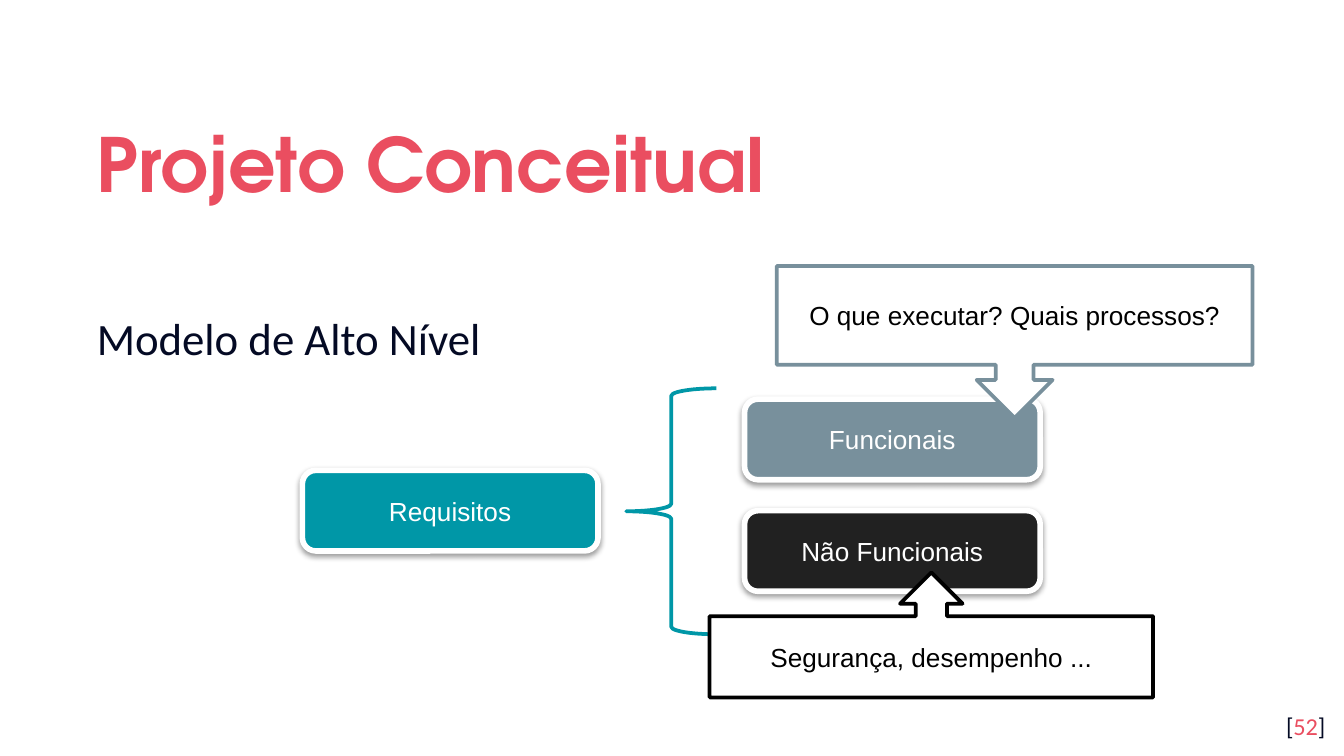
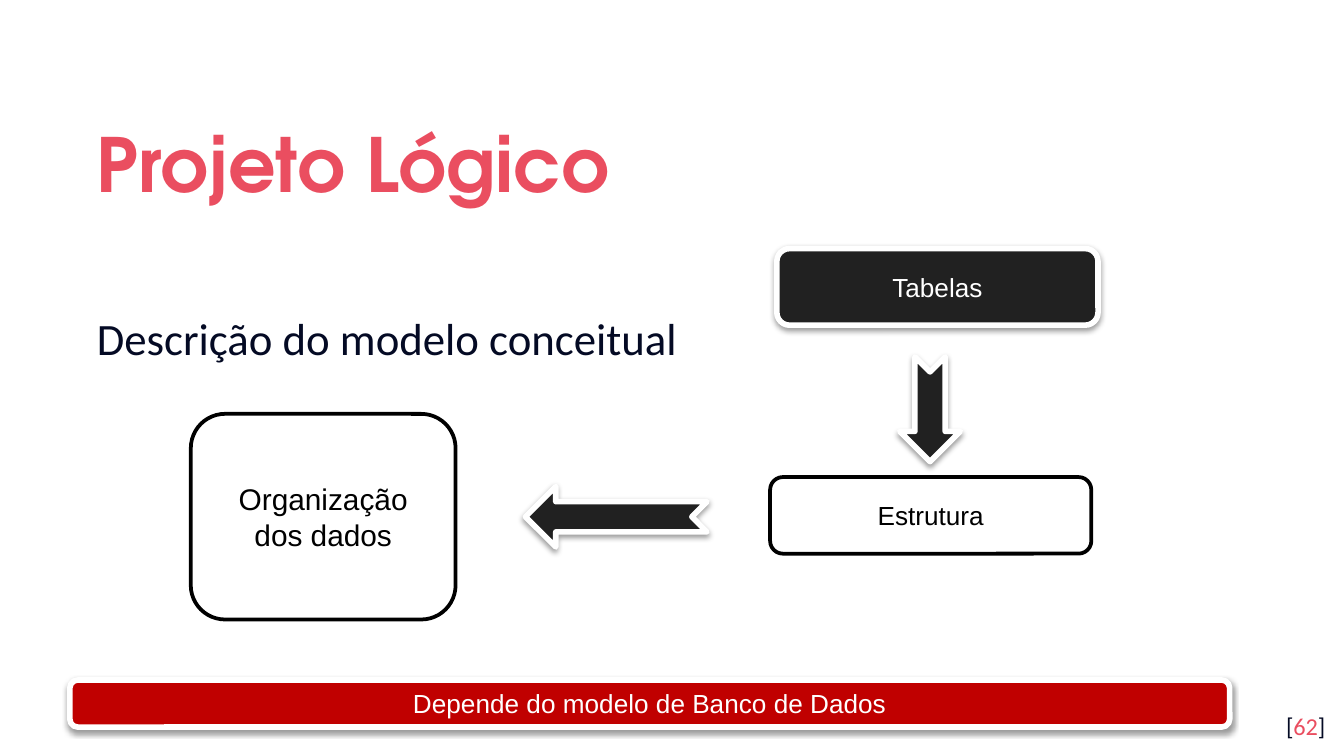
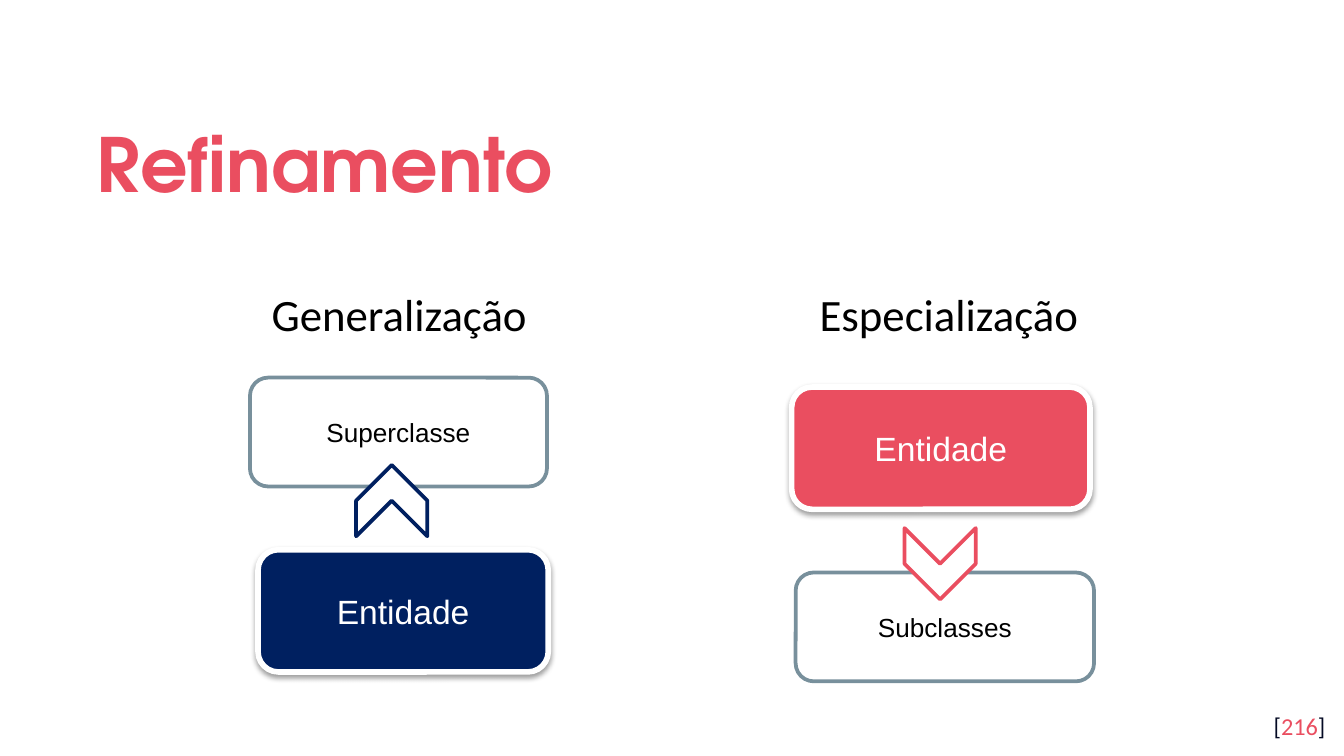
import lxml.etree
import pptx
import pptx.dml.color
import pptx.enum.shapes
import pptx.enum.text
import pptx.oxml.ns
import pptx.util

Inches = pptx.util.Inches
Pt = pptx.util.Pt
SHAPE = pptx.enum.shapes.MSO_SHAPE
ALIGN = pptx.enum.text.PP_ALIGN
ANCHOR = pptx.enum.text.MSO_ANCHOR
qn = pptx.oxml.ns.qn

COLORS = {
    "white": "FFFFFF",
    "black": "000000",
    "ink": "040A24",
    "coral": "EA4E60",
    "teal": "0097A7",
    "slate": "78909C",
    "charcoal": "212121",
    "red": "C00000",
    "navy": "002060",
}
ROUND, CHEVRON, NOTCHED = SHAPE.ROUNDED_RECTANGLE, SHAPE.CHEVRON, SHAPE.NOTCHED_RIGHT_ARROW
LAYOUT_ONE_BODY, LAYOUT_TWO_BODIES = 1, 3

# Body: text, left, width, top inset, alignment, line spacing, color
LEAD = (0.62, 8.77, 0.63, ALIGN.JUSTIFY, 1.15, "ink")
COLUMN_LEFT = (0.97, 4, 0.51, ALIGN.CENTER, 1, "black")
COLUMN_RIGHT = (5.06, 4, 0.51, ALIGN.CENTER, 1, "black")

# Parts: group, preset, (left, top, width, height), rotation, style, color, text size, text
# "card" is a filled shape with white border and shadow; "outline" is white with a colored border
PAGES = [
    {
        "title": "Projeto Conceitual",
        "number": "52",
        "layout": LAYOUT_ONE_BODY,
        "bodies": [("Modelo de Alto Nível", *LEAD)],
        "parts": [
            ("requirements", SHAPE.LEFT_BRACE, (4.66, 2.89, 0.67, 1.83), 0, "outline", "teal", 14, ""),
            ("requirements", ROUND, (2.25, 3.5, 2.2, 0.6), 0, "card", "teal", 14, "Requisitos"),
            ("requirements", ROUND, (5.54, 2.97, 2.2, 0.6), 0, "card", "slate", 14, "Funcionais"),
            ("requirements", ROUND, (5.54, 3.8, 2.2, 0.6), 0, "card", "charcoal", 14, "Não Funcionais"),
            (None, SHAPE.UP_ARROW_CALLOUT, (5.28, 4.26, 3.3, 0.93), 0, "outline", "black", 14,
             "Segurança, desempenho ..."),
            (None, SHAPE.DOWN_ARROW_CALLOUT, (5.78, 1.98, 3.54, 1.13), 0, "outline", "slate", 14,
             "O que executar? Quais processos?"),
        ],
    },
    {
        "title": "Projeto Lógico",
        "number": "62",
        "layout": LAYOUT_ONE_BODY,
        "bodies": [("Descrição do modelo conceitual", *LEAD)],
        "parts": [
            (None, ROUND, (0.52, 5.06, 8.63, 0.35), 0, "card", "red", 14,
             "Depende do modelo de Banco de Dados"),
            (None, ROUND, (5.73, 3.55, 2.39, 0.57), 0, "outline", "black", 14, "Estrutura"),
            (None, NOTCHED, (3.91, 3.62, 1.35, 0.45), 180, "card", "charcoal", 14, ""),
            (None, ROUND, (1.42, 3.08, 1.97, 1.53), 0, "outline", "black", 16, "Organização dos dados"),
            (None, NOTCHED, (6.53, 2.82, 0.78, 0.45), 90, "card", "charcoal", 14, ""),
            (None, ROUND, (5.78, 1.85, 2.39, 0.57), 0, "card", "charcoal", 14, "Tabelas"),
        ],
    },
    {
        "title": "Refinamento",
        "number": "216",
        "layout": LAYOUT_TWO_BODIES,
        "bodies": [("Generalização", *COLUMN_LEFT), ("Especialização", *COLUMN_RIGHT)],
        "parts": [
            ("generalization", ROUND, (1.92, 4.09, 2.16, 0.91), 0, "card", "navy", 18, "Entidade"),
            ("generalization", ROUND, (1.86, 2.81, 2.21, 0.81), 0, "outline", "slate", 14, "Superclasse"),
            ("generalization", CHEVRON, (2.65, 3.46, 0.53, 0.53), 270, "outline", "navy", 14, ""),
            ("specialization", ROUND, (5.89, 2.88, 2.22, 0.91), 0, "card", "coral", 18, "Entidade"),
            ("specialization", ROUND, (5.92, 4.26, 2.22, 0.81), 0, "outline", "slate", 14, "Subclasses"),
            ("specialization", CHEVRON, (6.73, 3.93, 0.53, 0.53), 90, "outline", "coral", 14, ""),
        ],
    },
]


def rgb(name):
    return pptx.dml.color.RGBColor.from_string(COLORS[name])


def format_text(box, font, size, color, align, anchor, bold=False):
    frame = box.text_frame
    frame.word_wrap = True
    frame.auto_size = pptx.enum.text.MSO_AUTO_SIZE.NONE
    frame.vertical_anchor = anchor
    para = frame.paragraphs[0]
    para.alignment = align
    for span in para.runs:
        span.font.name = font
        span.font.size = Pt(size)
        span.font.bold = bold
        span.font.color.rgb = rgb(color)
    return para


# Widescreen deck, 16:9
deck = pptx.Presentation()
deck.slide_width = Inches(10)
deck.slide_height = deck.slide_width * 9 // 16

for page in PAGES:
    slide = deck.slides.add_slide(deck.slide_layouts[page["layout"]])
    title, *bodies = slide.placeholders

    # Title
    title.left, title.top, title.width, title.height = map(Inches, (0.62, 0.7, 8.77, 0.92))
    title.text_frame.text = page["title"]
    para = format_text(title, "TeX Gyre Adventor", 40, "coral", ALIGN.LEFT, ANCHOR.MIDDLE, True)
    para.line_spacing = 1.15

    # Body text
    for body, (text, left, width, inset, align, spacing, color) in zip(bodies, page["bodies"]):
        body.left, body.top, body.width, body.height = map(Inches, (left, 1.62, width, 3.37))
        body.text_frame.text = text
        body.text_frame.margin_top = Inches(inset)
        properties = body.text_frame.paragraphs[0]._p.get_or_add_pPr()
        properties.set("marL", "0")
        properties.set("indent", "0")
        lxml.etree.SubElement(properties, qn("a:buNone"))
        para = format_text(body, "Calibri", 24, color, align, ANCHOR.TOP)
        para.line_spacing = spacing
        para.space_before = Pt(0)

    # Page number in brackets
    number = slide.shapes.add_textbox(*map(Inches, (9.36, 5.19, 0.6, 0.43)))
    for text in ("[", page["number"], "]"):
        number.text_frame.paragraphs[0].add_run().text = text
    for box in (title, *bodies, number):
        box.text_frame.margin_left = box.text_frame.margin_right = Inches(0.1)
    number.text_frame.margin_top = number.text_frame.margin_bottom = Inches(0.1)
    para = format_text(number, "Calibri", 13, "ink", ALIGN.RIGHT, ANCHOR.TOP)
    para.runs[1].font.color.rgb = rgb("coral")

    # Diagram
    groups = {None: slide}
    for group, preset, place, rotation, style, color, size, text in page["parts"]:
        if group not in groups:
            groups[group] = slide.shapes.add_group_shape()
        shape = groups[group].shapes.add_shape(preset, *map(Inches, place))
        shape.rotation = rotation
        shape.shadow.inherit = False
        is_card = style == "card"
        shape.fill.solid()
        shape.fill.fore_color.rgb = rgb(color if is_card else "white")
        shape.line.color.rgb = rgb("white" if is_card else color)
        shape.line.width = Pt(3 if is_card else 2)
        if is_card:
            effects = shape._element.spPr.find(qn("a:effectLst"))
            shadow = lxml.etree.SubElement(
                effects, qn("a:outerShdw"), blurRad=str(Pt(3.1)), dist=str(Pt(1.6)),
                dir="5400000", rotWithShape="0")
            shade = lxml.etree.SubElement(shadow, qn("a:srgbClr"), val=COLORS["black"])
            lxml.etree.SubElement(shade, qn("a:alpha"), val="38000")
        if text:
            shape.text_frame.text = text
            format_text(shape, "Arial", size, "white" if is_card else "black",
                        ALIGN.CENTER, ANCHOR.MIDDLE)

deck.save("out.pptx")
